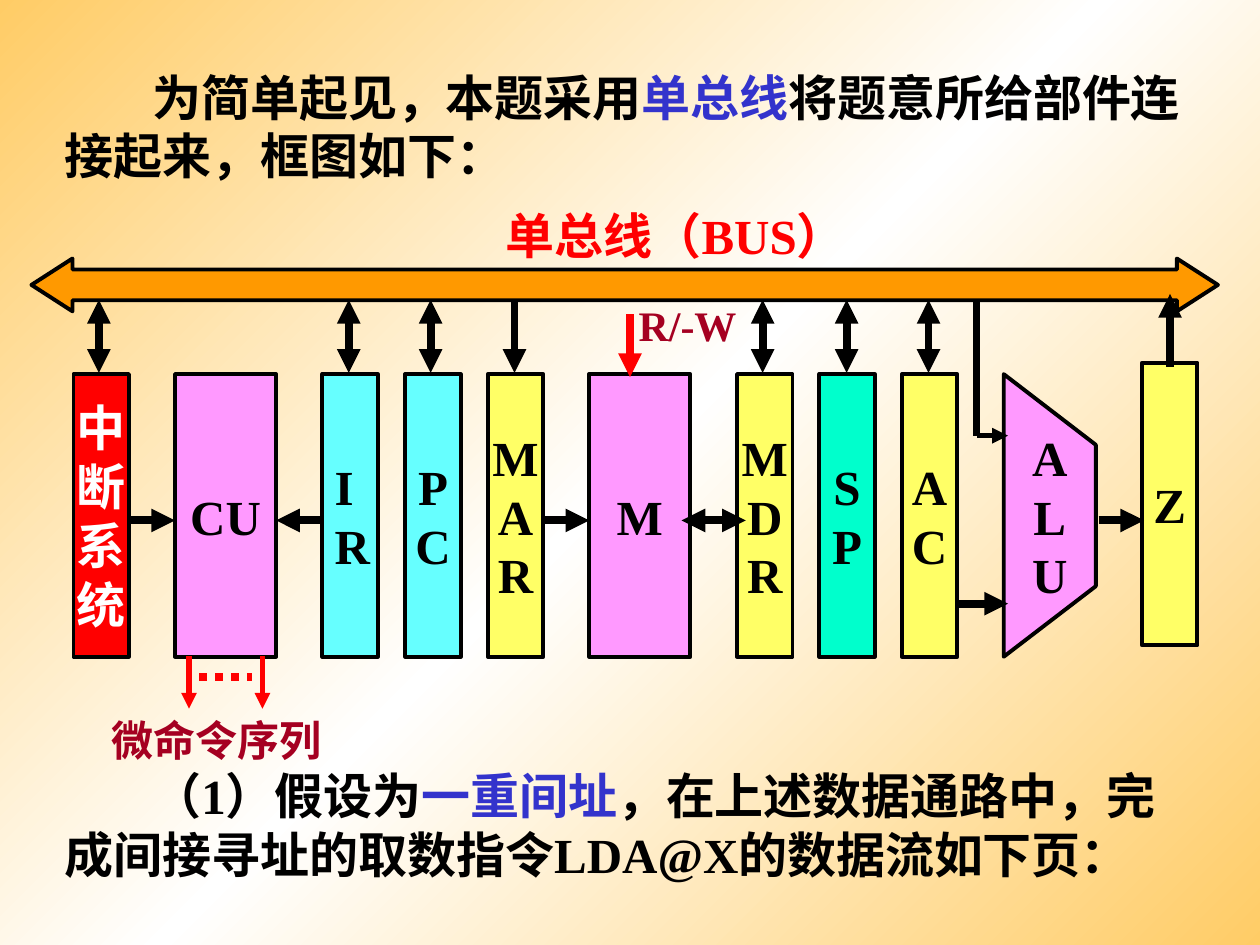
from lxml.etree import SubElement
from pptx import Presentation
from pptx.dml.color import RGBColor
from pptx.enum.dml import MSO_LINE
from pptx.enum.shapes import MSO_CONNECTOR, MSO_SHAPE
from pptx.enum.text import MSO_ANCHOR, MSO_AUTO_SIZE, PP_ALIGN
from pptx.oxml.ns import qn
from pptx.util import Pt

COLOURS = {name: RGBColor.from_string(value) for name, value in {
    "black": "000000", "white": "FFFFFF", "red": "FF0000", "crimson": "A50021",
    "blue": "3333CC", "pink": "FF99FF", "cyan": "66FFFF", "yellow": "FFFF66",
    "mint": "00FFCC", "orange": "FF9900",
}.items()}
BOX_TOP, BOX_HEIGHT, NARROW, WIDE = 213.8, 161.5, 31.7, 57.8
MIDDLE = 297.4
BUS_EDGE, ARROW_END = 171.4, 213.1


def write(box, paragraphs, align=PP_ALIGN.LEFT, wrap=False):
    """Fill box with (size, indent, [(text, colour), ...]) paragraphs."""
    frame = box.text_frame
    frame.word_wrap = wrap
    for index, (size, indent, spans) in enumerate(paragraphs):
        para = frame.add_paragraph() if index else frame.paragraphs[0]
        para.alignment = align
        if indent:
            para._p.get_or_add_pPr().set("indent", str(Pt(indent)))
        para.font.name, para.font.size, para.font.bold = "Times New Roman", Pt(size), True
        for text, colour in spans:
            span = para.add_run()
            span.text = text
            span.font.color.rgb = COLOURS[colour]


def draw_line(x1, y1, x2, y2, ends="", colour="black", width=4.5):
    """Draw a line; ends may name "head" (start) and "tail" (finish) arrowheads."""
    line = page.shapes.add_connector(MSO_CONNECTOR.STRAIGHT, Pt(x1), Pt(y1), Pt(x2), Pt(y2))
    line.line.color.rgb = COLOURS[colour]
    line.line.width = Pt(width)
    for end in ends.split():
        SubElement(line.line._get_or_add_ln(), qn(f"a:{end}End"), type="triangle")
    SubElement(line._element.spPr, qn("a:effectLst"))
    return line


deck = Presentation()
deck.slide_width, deck.slide_height = Pt(720), Pt(540)
page = deck.slides.add_slide(deck.slide_layouts[6])

# Background: diagonal gradient with a white band
background = page.background.fill
background.gradient()
background.gradient_angle = 135
stops = page.element.find(".//" + qn("a:gsLst"))
for stop in list(stops):
    stops.remove(stop)
for position, colour in (0, "FFCC66"), (50000, "FFFFFF"), (100000, "FFCC66"):
    stop = SubElement(stops, qn("a:gs"), pos=str(position))
    SubElement(stop, qn("a:srgbClr"), val=colour)

# Introduction and bus labels
signal = page.shapes.add_textbox(Pt(357.8), Pt(167.8), Pt(70.6), Pt(36))
write(signal, [(24, 0, [("R/-W", "crimson")])])

intro = page.shapes.add_textbox(Pt(30), Pt(18), Pt(672), Pt(108))
intro.text_frame.vertical_anchor = MSO_ANCHOR.MIDDLE
write(intro, [(28, 50, [("为简单起见，本题采用", "black"), ("单总线", "blue"),
                        ("将题意所给部件连接起来，框图如下：", "black")])], wrap=True)

# Components; each row of a label is one paragraph
components = [
    (42, BOX_TOP, NARROW, "red", ["中", "断", "系", "统"]),
    (100, BOX_TOP, WIDE, "pink", ["CU"]),
    (184.2, BOX_TOP, NARROW, "cyan", ["I", "R"]),
    (231.6, BOX_TOP, NARROW, "cyan", ["P", "C"]),
    (278.8, BOX_TOP, NARROW, "yellow", ["M", "A", "R"]),
    (336.7, BOX_TOP, WIDE, "pink", ["M"]),
    (421.2, BOX_TOP, NARROW, "yellow", ["M", "D", "R"]),
    (468.2, BOX_TOP, NARROW, "mint", ["S", "P"]),
    (515.4, BOX_TOP, NARROW, "yellow", ["A", "C"]),
    (652.6, 207.3, NARROW, "yellow", ["Z"]),
]
blocks = []
for left, top, width, colour, rows in components:
    block = page.shapes.add_shape(MSO_SHAPE.RECTANGLE, Pt(left), Pt(top), Pt(width), Pt(BOX_HEIGHT))
    blocks.append((block, colour, rows))

outline = page.shapes.build_freeform(Pt(573.6), Pt(BOX_TOP + BOX_HEIGHT))
outline.add_line_segments([(Pt(x), Pt(y)) for x, y in
                           ((573.6, BOX_TOP), (626.2, 254.2), (626.2, 335))], close=True)
blocks.append((outline.convert_to_shape(), "pink", ["A", "L", "U"]))

bus = page.shapes.add_shape(MSO_SHAPE.LEFT_RIGHT_ARROW, Pt(18), Pt(147.7), Pt(678), Pt(30.2))
bus.adjustments[0], bus.adjustments[1] = 0.583, 0.777
blocks.append((bus, "orange", []))

for block, colour, rows in blocks:
    block.shadow.inherit = False
    block.fill.solid()
    block.fill.fore_color.rgb = COLOURS[colour]
    block.line.color.rgb = COLOURS["black"]
    block.line.width = Pt(2.25)
    block.text_frame.vertical_anchor = MSO_ANCHOR.MIDDLE
    ink = "white" if colour == "red" else "black"
    align = PP_ALIGN.LEFT if rows == ["I", "R"] else PP_ALIGN.CENTER
    write(block, [(28, 0, [(row, ink)]) for row in rows], align)

# Links between neighbouring components
for start, end, y, ends in [
    (73.7, 100, MIDDLE, "tail"), (157.8, 184.2, MIDDLE, "head"),
    (389.5, 426.2, MIDDLE, "head tail"), (310.5, 336.7, MIDDLE, "tail"),
    (546, 576, 345, "tail"), (627.8, 653.8, MIDDLE, "tail"),
]:
    draw_line(start, y, end, y, ends)

# Links to the bus
for x in 56.5, 199.3, 246.1, 435.8, 483.8, 530.6:
    draw_line(x, BUS_EDGE, x, ARROW_END, "head tail")
draw_line(294, BUS_EDGE, 294, ARROW_END, "tail")
draw_line(360, 179.5, 360, 215.5, "tail", "red")
draw_line(558, 249, 576, 249, "tail", width=3)
draw_line(558, BUS_EDGE, 558, 249)
draw_line(668.6, 168, 668.6, 210, "head")

bus_label = page.shapes.add_textbox(Pt(282), Pt(114), Pt(222), Pt(41))
write(bus_label, [(28, 0, [("单总线（BUS）", "red")])])

# Micro-command outputs of the control unit
for x in 108, 150:
    draw_line(x, 375, x, 405, "tail", "red", 3)
dots = draw_line(114, 387, 144, 387, colour="red")
dots.line.dash_style = MSO_LINE.ROUND_DOT

closing = page.shapes.add_textbox(Pt(30), Pt(405), Pt(660), Pt(104))
write(closing, [
    (24, 26.5, [("微命令序列", "crimson")]),
    (28, 50, [("（1）假设为", "black"), ("一重间址", "blue"),
              ("，在上述数据通路中，完成间接寻址的取数指令LDA@X的数据流如下页：", "black")]),
], wrap=True)
for label in signal, bus_label, closing:
    label.text_frame.auto_size = MSO_AUTO_SIZE.SHAPE_TO_FIT_TEXT

deck.save("out.pptx")
